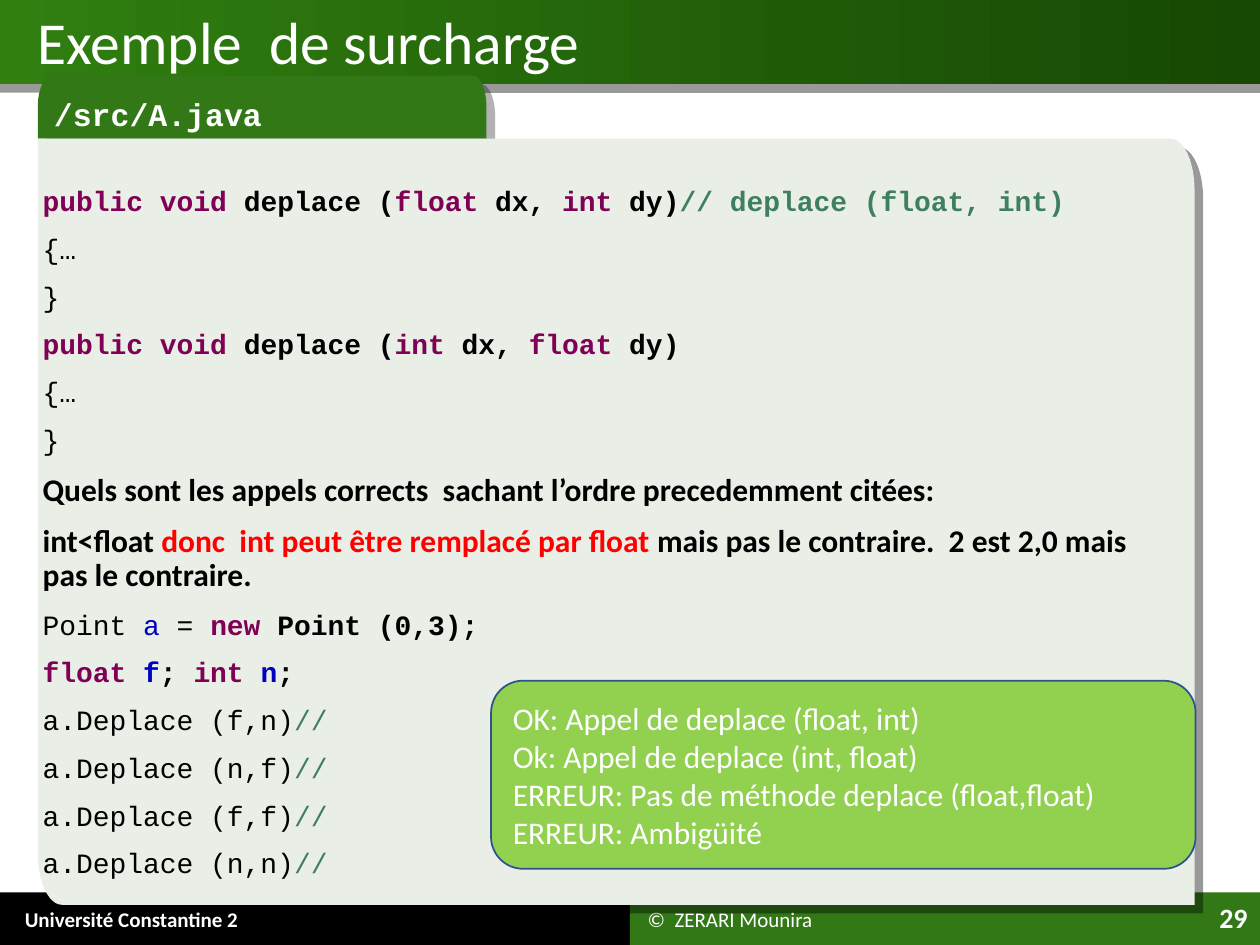
from math import cos, pi, sin

from lxml import etree
from pptx import Presentation
from pptx.dml.color import RGBColor
from pptx.enum.shapes import MSO_SHAPE
from pptx.enum.text import MSO_ANCHOR, PP_ALIGN
from pptx.oxml.ns import qn
from pptx.util import Pt

RECT, ROUNDED = MSO_SHAPE.RECTANGLE, MSO_SHAPE.ROUNDED_RECTANGLE
TOP, MIDDLE, BOTTOM = MSO_ANCHOR.TOP, MSO_ANCHOR.MIDDLE, MSO_ANCHOR.BOTTOM
LEFT, RIGHT = PP_ALIGN.LEFT, PP_ALIGN.RIGHT
SANS, MONO = "Calibri", "Courier New"
WHITE, BLACK, GREEN = "FFFFFF", "000000", "337817"
KEYWORD, COMMENT, VARIABLE, RED = "7F0055", "3F7F5F", "0000C0", "FF0000"

prs = Presentation()
prs.slide_width, prs.slide_height = Pt(720), Pt(540)
slide = prs.slides.add_slide(prs.slide_layouts[6])
shapes = slide.shapes


def rgb(value):
    return RGBColor.from_string(value)


def write(shape, lines, size=18, font=SANS, color=WHITE, bold=False, align=LEFT,
          anchor=MIDDLE, indent=0, spacing=1.0, before=0):
    """Each line is a text, or a (size, font, runs) tuple."""
    frame = shape.text_frame
    frame.word_wrap = True
    frame.vertical_anchor = anchor
    frame.margin_left = Pt(7.2 + indent)
    frame.margin_right = Pt(7.2)
    frame.margin_top = frame.margin_bottom = Pt(3.6)
    for number, line in enumerate(lines):
        if isinstance(line, str):
            line = (size, font, [(line, color, bold)])
        line_size, line_font, runs = line
        paragraph = frame.add_paragraph() if number else frame.paragraphs[0]
        paragraph.alignment = align
        paragraph.line_spacing = spacing
        paragraph.space_before = Pt(before if number else 0)
        for text, run_color, run_bold in runs:
            run = paragraph.add_run()
            run.text = text
            run.font.size, run.font.name = Pt(line_size), line_font
            run.font.bold = run_bold
            run.font.color.rgb = rgb(run_color)


# Top band and the two halves of the footer
header = shapes.add_shape(RECT, 0, 0, Pt(720), Pt(48))
footer_left = shapes.add_shape(RECT, 0, Pt(510), Pt(360), Pt(30))
footer_right = shapes.add_shape(RECT, Pt(360), Pt(510), Pt(360), Pt(30))
for band, color in ((header, None), (footer_left, BLACK), (footer_right, GREEN)):
    band.shadow.inherit = False
    band.line.fill.background()
    if color:
        band.fill.solid()
        band.fill.fore_color.rgb = rgb(color)
header.fill.gradient()
header.fill.gradient_angle = 0
for stop, color in zip(header.fill.gradient_stops, ("307F10", "174804")):
    stop.color.rgb = rgb(color)

# Footer texts
university = shapes.add_textbox(0, Pt(510.5), Pt(230), Pt(29.5))
write(university, ["Université Constantine 2"], size=12, bold=True, indent=7)
page_number = shapes.add_textbox(Pt(646.5), Pt(511), Pt(73.5), Pt(29))
write(page_number, ["29"], size=16, bold=True, align=RIGHT, anchor=TOP)
author = shapes.add_textbox(Pt(363), Pt(512), Pt(268), Pt(26))
write(author, ["©  ZERARI Mounira"], size=12)

# File tab and code panel: (left, top, right, bottom), fill, corner radii x and y,
# rounded corners (0 top right, 1 bottom right, 2 bottom left, 3 top left)
outlines = [
    ((21.6, 43.2, 278, 79.2), GREEN, 8, 18, (0, 3)),
    ((21.6, 79.2, 682.6, 517), "E9EFE7", 13.7, 29.5, (0, 2)),
]
panels = []
for (left, top, right, bottom), color, radius_x, radius_y, rounded in outlines:
    corners = [(right, top, 1, -1), (right, bottom, 1, 1),
               (left, bottom, -1, 1), (left, top, -1, -1)]
    points = []
    for index, (x, y, side_x, side_y) in enumerate(corners):
        if index not in rounded:
            points.append((Pt(x), Pt(y)))
            continue
        for step in range(13):
            angle = (index - 1) * pi / 2 + step * pi / 24
            points.append((Pt(x + radius_x * (cos(angle) - side_x)),
                           Pt(y + radius_y * (sin(angle) - side_y))))
    builder = shapes.build_freeform(*points[0])
    builder.add_line_segments(points[1:], close=True)
    panel = builder.convert_to_shape()
    panel.fill.solid()
    panel.fill.fore_color.rgb = rgb(color)
    panel.line.fill.background()
    panels.append(panel)
file_tab, code_panel = panels
write(file_tab, ["/src/A.java"], font=MONO, bold=True, anchor=BOTTOM, indent=2)

# Shadows: distance in points, direction in degrees, opacity in percent
for shape, distance, direction, opacity in (
        (header, 5, 90, 40), (file_tab, 7, 45, 30), (code_panel, 7, 45, 40)):
    shape.shadow.inherit = False
    effects = shape.element.spPr.find(qn("a:effectLst"))
    shadow = etree.SubElement(effects, qn("a:outerShdw"), blurRad="0",
                              dist=str(Pt(distance)), dir=str(direction * 60000),
                              algn="tl", rotWithShape="0")
    shadow_color = etree.SubElement(shadow, qn("a:srgbClr"), val=BLACK)
    etree.SubElement(shadow_color, qn("a:alpha"), val=str(opacity * 1000))

# Title
title = shapes.add_textbox(0, Pt(1.5), Pt(720), Pt(44))
write(title, ["Exemple  de surcharge"], size=34, indent=14.4)

# Code: the two overloads, the question and the calls
code = []
for first, second, note in (("float", "int", "// deplace (float, int)"),
                            ("int", "float", "")):
    signature = [("public void", KEYWORD, True), (" deplace (", BLACK, True),
                 (first, KEYWORD, True), (" dx, ", BLACK, True),
                 (second, KEYWORD, True), (" dy)", BLACK, True)]
    if note:
        signature.append((note, COMMENT, True))
    code.append((16, MONO, signature))
    code += [(16, MONO, [(brace, BLACK, False)]) for brace in ("{…", "}")]
code += [
    (18, SANS, [("Quels sont les appels corrects  sachant l’ordre "
                 "precedemment citées:", BLACK, True)]),
    (18, SANS, [("int<float ", BLACK, True),
                ("donc  int peut être remplacé par float ", RED, True),
                ("mais pas le contraire.  2 est 2,0 mais pas le contraire.",
                 BLACK, True)]),
    (16, MONO, [("Point ", BLACK, False), ("a", VARIABLE, False),
                (" = ", BLACK, False), ("new", KEYWORD, True),
                (" Point (0,3);", BLACK, True)]),
    (16, MONO, [("float ", KEYWORD, True), ("f", VARIABLE, True),
                ("; ", BLACK, True), ("int ", KEYWORD, True),
                ("n", VARIABLE, True), (";", BLACK, True)]),
]
for arguments in ("f,n", "n,f", "f,f", "n,n"):
    code.append((16, MONO, [(f"a.Deplace ({arguments})", BLACK, False),
                            ("//", COMMENT, False)]))
listing = shapes.add_textbox(Pt(17.3), Pt(103.7), Pt(648.7), Pt(408))
write(listing, code, anchor=TOP, spacing=0.9, before=10)

# Answers
answers = shapes.add_shape(ROUNDED, Pt(280.6), Pt(389), Pt(402.6), Pt(107.5))
answers.adjustments[0] = 0.17
answers.shadow.inherit = False
answers.fill.solid()
answers.fill.fore_color.rgb = rgb("92D050")
answers.line.color.rgb = rgb("2F528F")
answers.line.width = Pt(1)
write(answers, ["OK: Appel de deplace (float, int)",
                "Ok: Appel de deplace (int, float)",
                "ERREUR: Pas de méthode deplace (float,float)",
                "ERREUR: Ambigüité"])

prs.save("out.pptx")
